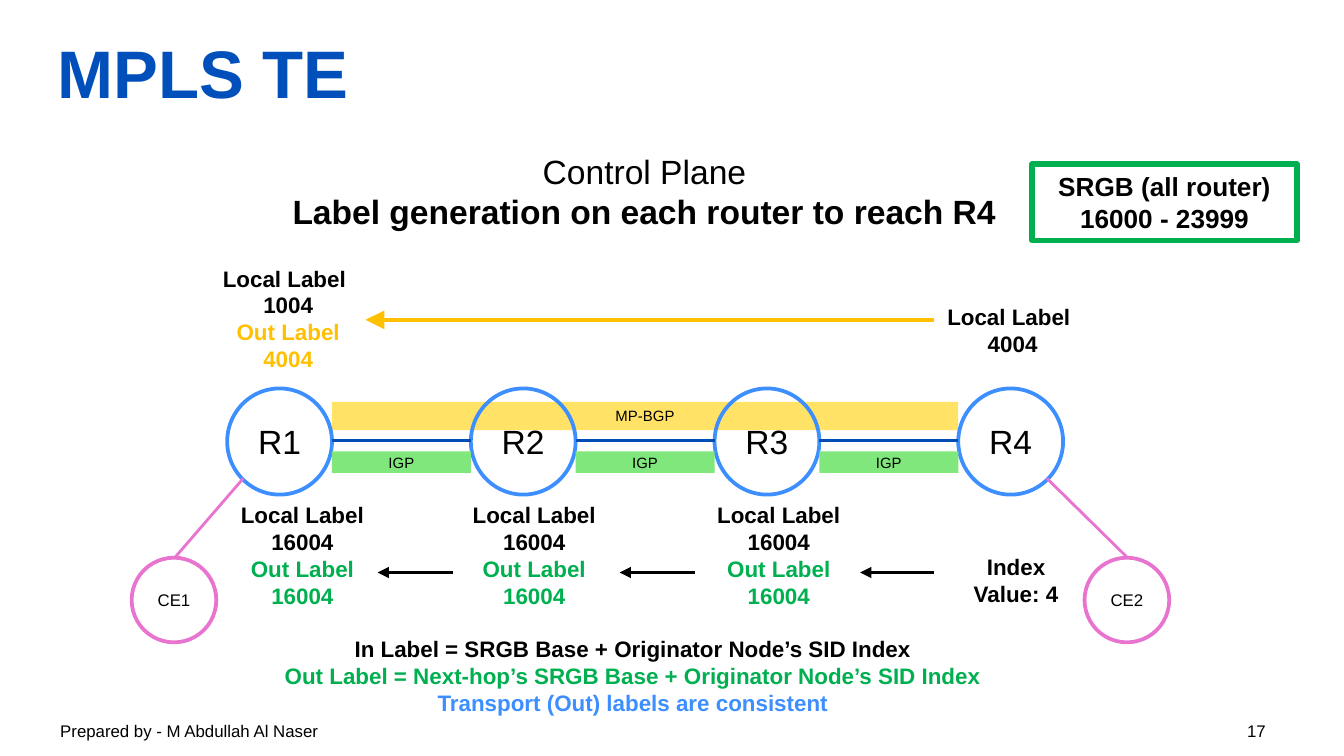
from lxml import etree
from pptx import Presentation
from pptx.dml.color import RGBColor
from pptx.enum.shapes import MSO_CONNECTOR, MSO_SHAPE
from pptx.enum.text import MSO_ANCHOR, PP_ALIGN
from pptx.oxml.ns import qn
from pptx.util import Inches, Pt

LEFT, CENTER = PP_ALIGN.LEFT, PP_ALIGN.CENTER
TOP, MIDDLE = MSO_ANCHOR.TOP, MSO_ANCHOR.MIDDLE
OVAL, RECTANGLE = MSO_SHAPE.OVAL, MSO_SHAPE.RECTANGLE
STRAIGHT = MSO_CONNECTOR.STRAIGHT

COLORS = {
    "black": "000000", "title": "004FBB", "link": "004DB6", "router": "3D8FFF",
    "customer": "E874D0", "bgp": "FFE266", "igp": "80E77C",
    "green": "00B050", "amber": "FFC000",
}

# A line of text is (text, overrides of the box's format).
TITLE = [("MPLS TE", {})]
HEADING = [("Control Plane", {}),
           ("Label generation on each router to reach R4", {"bold": True})]
SRGB = [("SRGB (all router)", {}), ("16000 - 23999", {})]
ROUTERS = ["R1", "R2", "R3", "R4"]
CUSTOMERS = [("CE1", 0.98), ("CE2", 8.07)]
CUSTOMER_LINKS = [((1.3, 4.15), (1.81, 3.56)), ((8.39, 4.15), (7.79, 3.56))]
TRANSPORT_LABELS = [("Local Label", {}), ("16004", {}),
                    ("Out Label", {"color": "green"}), ("16004", {"color": "green"})]
TRANSPORT_BOXES = [(1.59, 1.32), (3.39, 1.17), (5.21, 1.17)]
SERVICE_LABELS = [("Local Label", {"align": LEFT}), ("1004", {}),
                  ("Out Label", {"color": "amber"}), ("4004", {"color": "amber"})]
EGRESS_LABELS = [("Local Label", {"align": LEFT}), ("4004", {})]
INDEX = [("Index Value: 4", {})]
RULES = [
    ("In Label = SRGB Base + Originator Node’s SID Index", {}),
    ("Out Label = Next-hop’s SRGB Base + Originator Node’s SID Index", {"color": "green"}),
    ("Transport (Out) labels are consistent", {"color": "router"}),
]
FOOTER = [("Prepared by - M Abdullah Al Naser\t17", {})]

SLIDE_WIDTH = 10
SLIDE_HEIGHT = SLIDE_WIDTH * 9 / 16
ROUTER_TOP, ROUTER_WIDTH, ROUTER_HEIGHT = 2.89, 0.78, 0.79
FIRST_ROUTER, LAST_ROUTER = 1.69, 7.13
LINK_Y, TRANSPORT_Y, SERVICE_Y = 3.28, 4.26, 2.38
TRANSPORT_ARROWS = [(3.37, 2.81), (5.17, 4.61), (6.95, 6.4)]


def rgb(name):
    return RGBColor.from_string(COLORS[name])


def write(box, lines, size=12, bold=False, color="black", align=CENTER,
          anchor=TOP, wrap=True, inset=None, right_tab=None):
    frame = box.text_frame
    frame.word_wrap = wrap
    frame.vertical_anchor = anchor
    if inset is not None:
        frame.margin_left = frame.margin_right = Inches(inset)
        frame.margin_top = frame.margin_bottom = Inches(inset)
    for index, (text, changes) in enumerate(lines):
        style = {"bold": bold, "color": color, "align": align, **changes}
        para = frame.paragraphs[0] if index == 0 else frame.add_paragraph()
        para.alignment = style["align"]
        if right_tab:
            stops = etree.SubElement(para._p.get_or_add_pPr(), qn("a:tabLst"))
            etree.SubElement(stops, qn("a:tab"), pos=str(Inches(right_tab)), algn="r")
        span = para.add_run()
        span.text = text
        span.font.name = "Arial"
        span.font.size = Pt(size)
        span.font.bold = style["bold"]
        span.font.color.rgb = rgb(style["color"])


def add_text(page, place, lines, **style):
    write(page.shapes.add_textbox(*map(Inches, place)), lines, **style)


def add_box(page, kind, place, lines, fill=None, line=None, line_width=2, **style):
    box = page.shapes.add_shape(kind, *map(Inches, place))
    box.shadow.inherit = False
    if fill:
        box.fill.solid()
        box.fill.fore_color.rgb = rgb(fill)
    else:
        box.fill.background()
    if line:
        box.line.color.rgb = rgb(line)
        box.line.width = Pt(line_width)
    else:
        box.line.fill.background()
    write(box, lines, anchor=MIDDLE, inset=0, **style)


def add_line(page, start, end, color, width=1.5, head=None):
    """Draw a line; head is the arrowhead size at its end, "med" or "lg"."""
    line = page.shapes.add_connector(STRAIGHT, *map(Inches, start + end))
    line.line.color.rgb = rgb(color)
    line.line.width = Pt(width)
    properties = line._element.spPr
    if head:
        outline = properties.find(qn("a:ln"))
        etree.SubElement(outline, qn("a:tailEnd"), type="triangle", w=head, len=head)
    etree.SubElement(properties, qn("a:effectLst"))


def add_network(page):
    pitch = (LAST_ROUTER - FIRST_ROUTER) / (len(ROUTERS) - 1)
    lefts = [FIRST_ROUTER + i * pitch for i in range(len(ROUTERS))]
    gaps = [(left + ROUTER_WIDTH, following)
            for left, following in zip(lefts, lefts[1:])]
    band_left, band_right = gaps[0][0], gaps[-1][1]
    add_box(page, RECTANGLE, (band_left, 2.99, band_right - band_left, 0.21),
            [("MP-BGP", {})], fill="bgp", size=8)
    for name, left in zip(ROUTERS, lefts):
        add_box(page, OVAL, (left, ROUTER_TOP, ROUTER_WIDTH, ROUTER_HEIGHT),
                [(name, {})], line="router", size=18)
    for name, left in CUSTOMERS:
        add_box(page, OVAL, (left, 4.15, 0.63, 0.63), [(name, {})],
                line="customer", size=9)
    for start, end in CUSTOMER_LINKS:
        add_line(page, start, end, "customer")
    for start, end in gaps:
        add_line(page, (start, LINK_Y), (end, LINK_Y), "link")
        add_box(page, RECTANGLE, (start, 3.36, end - start, 0.16),
                [("IGP", {})], fill="igp", size=8)


def add_labels(page):
    for left, width in TRANSPORT_BOXES:
        add_text(page, (left, 3.68, width, 0.91), TRANSPORT_LABELS, bold=True)
    for start, end in TRANSPORT_ARROWS:
        add_line(page, (start, TRANSPORT_Y), (end, TRANSPORT_Y), "black", 2, head="med")
    add_text(page, (7.14, 4.07, 0.84, 0.5), INDEX, bold=True)
    add_text(page, (1.56, 1.92, 1.17, 0.91), SERVICE_LABELS, bold=True)
    add_text(page, (6.95, 2.21, 1.17, 0.5), EGRESS_LABELS, bold=True)
    add_line(page, (6.95, SERVICE_Y), (2.72, SERVICE_Y), "amber", 2, head="lg")


def main():
    deck = Presentation()
    deck.slide_width, deck.slide_height = Inches(SLIDE_WIDTH), Inches(SLIDE_HEIGHT)
    page = deck.slides.add_slide(deck.slide_layouts[6])
    add_text(page, (0.35, 5.31, 9.37, 0.25), FOOTER, size=9, align=LEFT, right_tab=8.97)
    add_text(page, (0.43, 0.06, 9.13, 0.94), TITLE, size=36, bold=True,
             color="title", align=LEFT, anchor=MIDDLE, inset=0)
    add_text(page, (2.05, 1.07, 5.49, 0.71), HEADING, size=18, wrap=False)
    add_box(page, RECTANGLE, (7.68, 1.22, 1.97, 0.57), SRGB, line="green",
            line_width=3, size=14, bold=True)
    add_network(page)
    add_labels(page)
    add_text(page, (1.88, 4.68, 5.66, 0.71), RULES, bold=True)
    deck.save("out.pptx")


if __name__ == "__main__":
    main()
